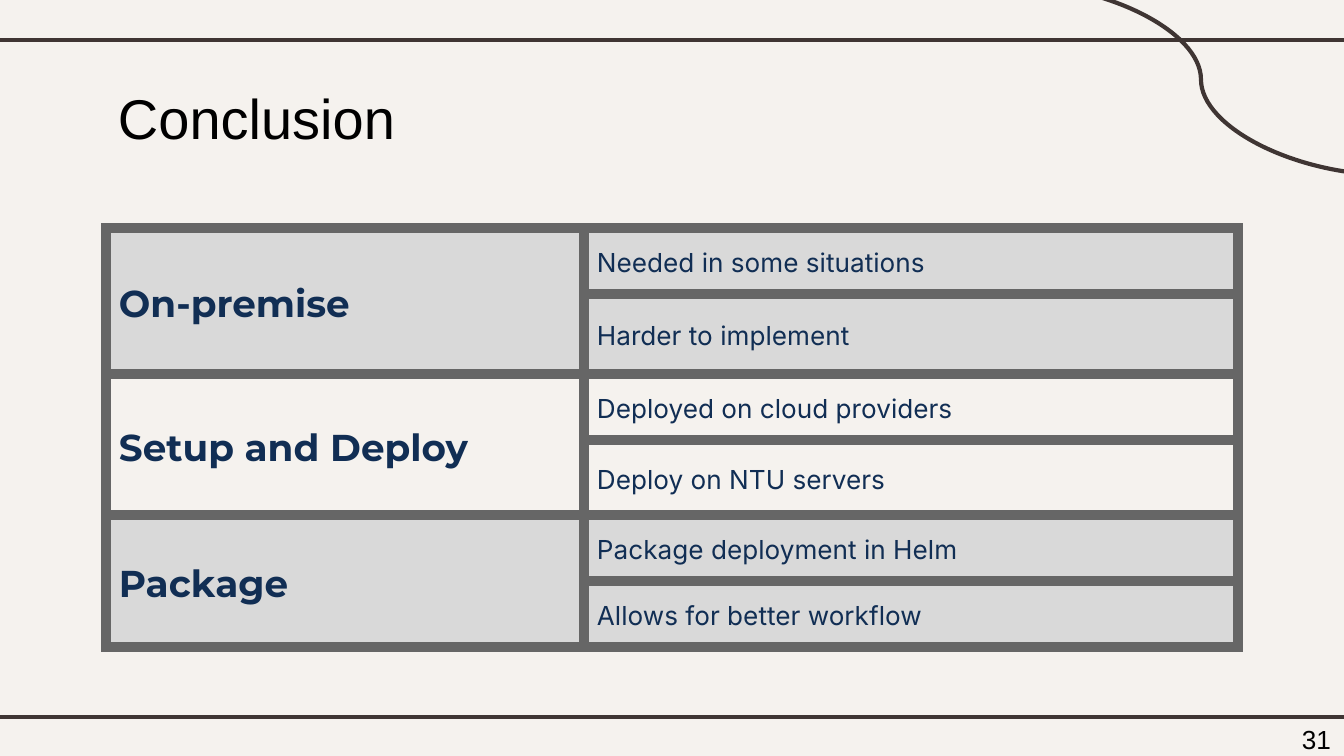
from lxml import etree
from pptx import Presentation
from pptx.dml.color import RGBColor
from pptx.enum.shapes import MSO_CONNECTOR
from pptx.enum.text import MSO_ANCHOR, PP_ALIGN
from pptx.oxml.ns import qn
from pptx.util import Emu, Pt

STRAIGHT, CURVE = MSO_CONNECTOR.STRAIGHT, MSO_CONNECTOR.CURVE
TOP, MIDDLE = MSO_ANCHOR.TOP, MSO_ANCHOR.MIDDLE
LEFT, RIGHT = PP_ALIGN.LEFT, PP_ALIGN.RIGHT

PAPER, BROWN, BLACK = "F5F2EE", "3F3533", "000000"
GREY, BORDER, NAVY = "D9D9D9", "666666", "112E54"
PAD = 13

TOPICS = [
    ("On-premise", ["Needed in some situations", "Harder to implement"]),
    ("Setup and Deploy", ["Deployed on cloud providers", "Deploy on NTU servers"]),
    ("Package", ["Package deployment in Helm", "Allows for better workflow"]),
]
COLS = [478, 654]
ROWS = [66, 80, 66, 75, 66, 66]


def px(n):
    return Emu(round(n * 914400 / 134.4))


def rgb(code):
    return RGBColor.from_string(code)


def add_line(slide, kind, x1, y1, x2, y2):
    line = slide.shapes.add_connector(kind, px(x1), px(y1), px(x2), px(y2))
    line.line.color.rgb = rgb(BROWN)
    line.line.width = Pt(2.25)
    etree.SubElement(line._element.spPr, qn("a:effectLst"))


def write(frame, text, size, font, color, bold=False, align=LEFT):
    para = frame.paragraphs[0]
    para.alignment = align
    run = para.add_run()
    run.text = text
    run.font.size = Pt(size)
    run.font.name = font
    run.font.bold = bold
    run.font.color.rgb = rgb(color)
    return para


def set_frame(frame, anchor, top=PAD):
    frame.word_wrap = True
    frame.vertical_anchor = anchor
    frame.margin_left = frame.margin_right = frame.margin_bottom = px(PAD)
    frame.margin_top = px(top)


def add_title(slide, text):
    title = slide.shapes.title
    title.left, title.top, title.width, title.height = map(px, (105, 66, 692, 85))
    set_frame(title.text_frame, TOP, 18)
    write(title.text_frame, text, 30, "Arial", BLACK)


def set_cell(cell, fill, pad):
    # Borders come before the fill in the cell properties
    props = cell._tc.get_or_add_tcPr()
    for side in ("lnL", "lnR", "lnT", "lnB"):
        edge = etree.SubElement(props, qn("a:" + side), w=str(Pt(6)))
        solid = etree.SubElement(edge, qn("a:solidFill"))
        etree.SubElement(solid, qn("a:srgbClr"), val=BORDER)
    if fill:
        cell.fill.solid()
        cell.fill.fore_color.rgb = rgb(fill)
    else:
        cell.fill.background()
    cell.vertical_anchor = MIDDLE
    cell.margin_left = cell.margin_right = px(pad)
    cell.margin_top = cell.margin_bottom = px(pad)


def fill_cell(cell, text, size, font, bold):
    para = write(cell.text_frame, text, size, font, NAVY, bold)
    para.line_spacing = 1.15


def add_grid(slide):
    frame = slide.shapes.add_table(len(ROWS), len(COLS), px(106), px(228),
                                   px(sum(COLS)), px(sum(ROWS)))
    table = frame.table
    table.first_row = table.horz_banding = False
    for col, width in zip(table.columns, COLS):
        col.width = px(width)
    for row, height in zip(table.rows, ROWS):
        row.height = px(height)
    for i, (topic, points) in enumerate(TOPICS):
        fill = None if i % 2 else GREY
        for j, point in enumerate(points):
            head, body = table.cell(2 * i + j, 0), table.cell(2 * i + j, 1)
            set_cell(head, fill, 0 if j else PAD)
            set_cell(body, fill, PAD)
            fill_cell(body, point, 14, "Inter", False)
        head = table.cell(2 * i, 0)
        head.merge(table.cell(2 * i + 1, 0))
        fill_cell(head, topic, 20, "Montserrat", True)


def add_number(slide, text):
    box = slide.shapes.add_textbox(*map(px, (1263, 710, 81, 58)))
    set_frame(box.text_frame, MIDDLE)
    write(box.text_frame, text, 14, "Arial", BLACK, align=RIGHT)


def main():
    deck = Presentation()
    deck.slide_width, deck.slide_height = px(1344), px(756)
    slide = deck.slides.add_slide(deck.slide_layouts[5])
    slide.background.fill.solid()
    slide.background.fill.fore_color.rgb = rgb(PAPER)

    # Frame lines and corner curve
    for y in (40, 717):
        add_line(slide, STRAIGHT, -11, y, 1355, y)
    add_line(slide, CURVE, 1012, -16, 1390, 175)

    # Content
    add_title(slide, "Conclusion")
    add_grid(slide)
    add_number(slide, "31")
    deck.save("out.pptx")


if __name__ == "__main__":
    main()
